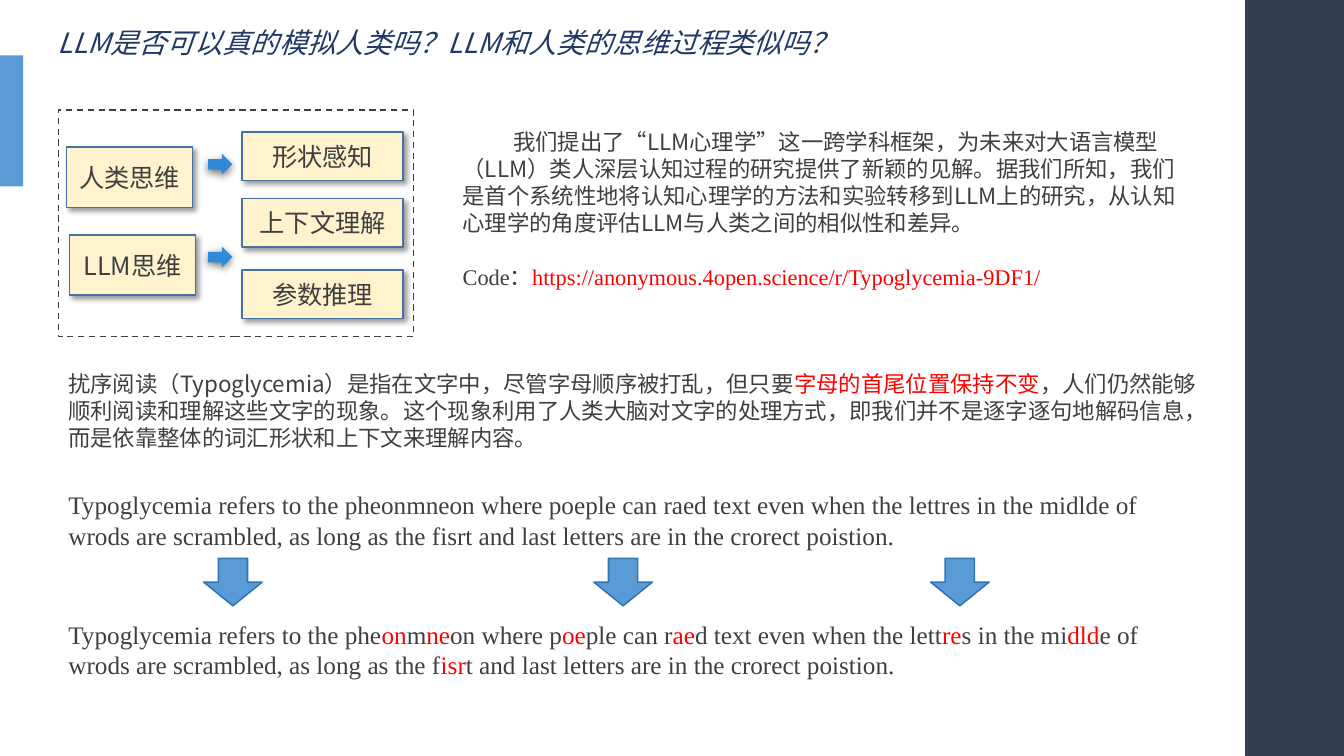
from lxml import etree
from pptx import Presentation
from pptx.dml.color import RGBColor
from pptx.enum.dml import MSO_LINE
from pptx.enum.shapes import MSO_SHAPE
from pptx.enum.text import MSO_ANCHOR, MSO_AUTO_SIZE, PP_ALIGN
from pptx.oxml.ns import qn
from pptx.util import Emu, Pt

PX = 9144  # 100 px to the inch
RECT, DOWN_ARROW = MSO_SHAPE.RECTANGLE, MSO_SHAPE.DOWN_ARROW
DASH = MSO_LINE.DASH
TOP, MIDDLE = MSO_ANCHOR.TOP, MSO_ANCHOR.MIDDLE
NO_FIT = MSO_AUTO_SIZE.NONE
LEFT, CENTER = PP_ALIGN.LEFT, PP_ALIGN.CENTER

NAVY = RGBColor(0x20, 0x38, 0x64)
SLATE = RGBColor(0x33, 0x3F, 0x50)
BLUE = RGBColor(0x5B, 0x9B, 0xD5)
DARK_BLUE = RGBColor(0x2E, 0x75, 0xB6)
BRIGHT_BLUE = RGBColor(0x30, 0x8A, 0xDC)
BOX_EDGE = RGBColor(0x43, 0x73, 0x9E)
CREAM = RGBColor(0xFF, 0xF2, 0xCC)
INK = RGBColor(0x3F, 0x3F, 0x3F)
RED = RGBColor(0xFF, 0x00, 0x00)

SANS, SERIF = "Noto Sans CJK SC", "Times New Roman"
LINE_WIDTH = Pt(1.1)
CJK_LINE = Pt(19.3)

INTRO = ("我们提出了“LLM心理学”这一跨学科框架，为未来对大语言模型（LLM）类人深层认知过程的研究"
         "提供了新颖的见解。据我们所知，我们是首个系统性地将认知心理学的方法和实验转移到LLM上的研究，"
         "从认知心理学的角度评估LLM与人类之间的相似性和差异。")
# Text between bars is red
CODE = "Code：|https://anonymous.4open.science/r/Typoglycemia-9DF1/"
DEFINITION = ("扰序阅读（Typoglycemia）是指在文字中，尽管字母顺序被打乱，但只要|字母的首尾位置保持不变|"
              "，人们仍然能够顺利阅读和理解这些文字的现象。这个现象利用了人类大脑对文字的处理方式，"
              "即我们并不是逐字逐句地解码信息，而是依靠整体的词汇形状和上下文来理解内容。")
SCRAMBLED = ("Typoglycemia refers to the phe|on|m|ne|on where p|oe|ple can r|ae|d text even when "
             "the lett|re|s in the mi|dld|e of wrods are scrambled, as long as the f|isr|t and "
             "last letters are in the crorect poistion.")


def px(*lengths):
    return [Emu(length * PX) for length in lengths]


def write(paragraph, marked, size, face=SANS, color=INK, align=LEFT):
    """Fill a paragraph; every second part between bars turns red."""
    for index, part in enumerate(marked.split("|")):
        run = paragraph.add_run()
        run.text = part
        if index % 2:
            run.font.color.rgb = RED
    paragraph.alignment = align
    font = paragraph.font
    font.size, font.name = Pt(size), face
    font.color.rgb = color
    defaults = paragraph._p.pPr.find(qn("a:defRPr"))
    etree.SubElement(defaults, qn("a:ea"), typeface=SANS)


def add_shadow(shape, alpha, blur, distance, angle):
    effects = shape._element.spPr.find(qn("a:effectLst"))
    shadow = etree.SubElement(
        effects, qn("a:outerShdw"), blurRad=str(Pt(blur)), dist=str(Pt(distance)),
        dir=str(angle * 60000), algn="ctr", rotWithShape="0")
    black = etree.SubElement(shadow, qn("a:srgbClr"), val="000000")
    etree.SubElement(black, qn("a:alpha"), val=str(alpha * 1000))


def add_block(slide, kind, box, fill=None, edge=None):
    shape = slide.shapes.add_shape(kind, *px(*box))
    shape.shadow.inherit = False
    if fill is None:
        shape.fill.background()
    else:
        shape.fill.solid()
        shape.fill.fore_color.rgb = fill
    if edge is None:
        shape.line.fill.background()
    else:
        shape.line.color.rgb = edge
        shape.line.width = LINE_WIDTH
    return shape


def add_text_frame(slide, box):
    frame = slide.shapes.add_textbox(*px(*box)).text_frame
    frame.word_wrap = True
    return frame


def add_title(slide, box):
    title = slide.shapes.title
    title.left, title.top, title.width, title.height = px(*box)
    frame = title.text_frame
    frame.auto_size, frame.vertical_anchor = NO_FIT, TOP
    heading = frame.paragraphs[0]
    heading.line_spacing = Pt(24)
    write(heading, "LLM是否可以真的模拟人类吗？LLM和人类的思维过程类似吗？", 20, color=NAVY)
    heading.font.italic = True


def add_concept(slide, label, box):
    concept = add_block(slide, RECT, box, CREAM, BOX_EDGE)
    add_shadow(concept, 40, 4, 3, 45)
    concept.text_frame.vertical_anchor = MIDDLE
    write(concept.text_frame.paragraphs[0], label, 18, align=CENTER)


def add_thinking_diagram(slide, box):
    left, top, _, _ = box
    # Two kinds of thinking, each with an arrow to the right
    for label, dx, dy, arrow_dy in (("人类思维", 8, 37, 42), ("LLM思维", 11, 124, 134)):
        add_concept(slide, label, (left + dx, top + dy, 125, 60))
        arrow = add_block(slide, DOWN_ARROW, (left + 150, top + arrow_dy, 21, 24), BRIGHT_BLUE)
        arrow.rotation = 270
        add_shadow(arrow, 55, 6, 2, 90)
    # Abilities they draw on
    for label, dy in (("形状感知", 22), ("上下文理解", 88), ("参数推理", 159)):
        add_concept(slide, label, (left + 182, top + dy, 160, 48))
    frame = add_block(slide, RECT, box, edge=INK)
    frame.line.dash_style = DASH


def add_introduction(slide, box):
    frame = add_text_frame(slide, box)
    intro, code = frame.paragraphs[0], frame.add_paragraph()
    for paragraph, marked, face in ((intro, INTRO, SANS), (code, CODE, SERIF)):
        paragraph.line_spacing = CJK_LINE
        write(paragraph, marked, 16, face)
    intro._p.pPr.set("indent", str(50 * PX))
    code.space_before = CJK_LINE


def add_definition(slide, box):
    definition = add_text_frame(slide, box).paragraphs[0]
    definition.line_spacing = CJK_LINE
    write(definition, DEFINITION, 16)


def add_example(slide, box):
    left, top, width, _ = box
    # The same sentence, plain and then with its swapped letters marked
    for marked, dy in ((SCRAMBLED.replace("|", ""), 0), (SCRAMBLED, 128)):
        sentence = add_text_frame(slide, (left, top + dy, width, 71)).paragraphs[0]
        write(sentence, marked, 18, SERIF)
    for dx in (144, 531, 865):
        add_block(slide, DOWN_ARROW, (left + dx, top + 73, 58, 47), BLUE, DARK_BLUE)


def main():
    deck = Presentation()
    deck.slide_width, deck.slide_height = px(1333, 750)
    slide = deck.slides.add_slide(deck.slide_layouts[5])
    # Side bands
    add_block(slide, RECT, (1235, 0, 98, 750), SLATE)
    add_block(slide, RECT, (0, 55, 23, 130), BLUE)
    add_title(slide, (47, 20, 930, 89))
    add_thinking_diagram(slide, (58, 109, 352, 225))
    add_introduction(slide, (449, 122, 735, 172))
    add_definition(slide, (58, 362, 1146, 91))
    add_example(slide, (58, 481, 1120, 199))
    deck.save("out.pptx")


if __name__ == "__main__":
    main()
